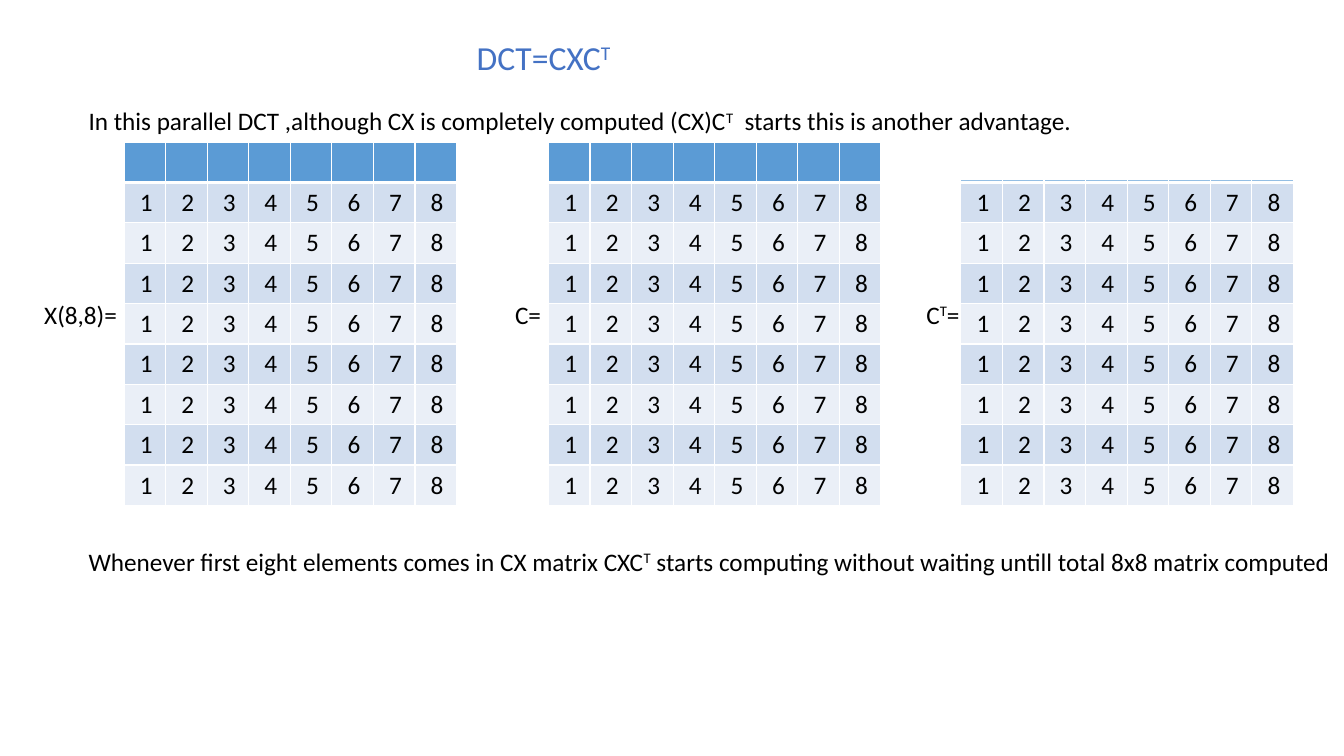
from lxml import etree
from pptx import Presentation, util as u
from pptx.dml.color import RGBColor
from pptx.enum import shapes, text
from pptx.oxml import ns

PX = 9144  # EMU per px, 100 px to the inch
COLORS = {
    "ink": "000000",
    "paper": "FFFFFF",
    "header": "5B9BD5",
    "band_dark": "D2DEEF",
    "band_light": "EAEFF7",
    "border": "FFFFFF",
    "title_top": "203864",
    "title_middle": "4472C4",
    "title_bottom": "8FAADC",
}
TITLE_STOPS = ((0, "title_top"), (50, "title_middle"), (100, "title_bottom"))
SIZE = 8
ROWS = SIZE + 1
ROW_HEIGHT = 40
MATRIX_WIDTH = 330
MATRIX_TOP = 141
SUPER = "^T"  # marks a raised T in a list of runs


def px(*lengths):
    return [u.Emu(length * PX) for length in lengths]


class SlideBuilder:
    font = "Calibri"
    body_size = 18

    def __init__(self, deck):
        self.page = deck.slides.add_slide(deck.slide_layouts[6])

    def span(self, para, words, size=body_size, gradient=None):
        span = para.add_run()
        span.text = "T" if words == SUPER else words
        span.font.name = self.font
        span.font.size = u.Pt(size)
        props = span._r.get_or_add_rPr()
        if words == SUPER:
            props.set("baseline", "30000")
        if gradient:
            self.gradient_fill(props, gradient)
        else:
            span.font.color.rgb = RGBColor.from_string(COLORS["ink"])

    def gradient_fill(self, props, stops):
        fill = etree.Element(ns.qn("a:gradFill"))
        stop_list = etree.SubElement(fill, ns.qn("a:gsLst"))
        for percent, color in stops:
            stop = etree.SubElement(stop_list, ns.qn("a:gs"), pos=str(percent * 1000))
            etree.SubElement(stop, ns.qn("a:srgbClr"), val=COLORS[color])
        etree.SubElement(fill, ns.qn("a:lin"), ang="5400000", scaled="0")
        props.insert(0, fill)

    def label(self, left, top, width, height, runs, **style):
        box = self.page.shapes.add_textbox(*px(left, top, width, height))
        box.text_frame.word_wrap = True
        box.text_frame.auto_size = text.MSO_AUTO_SIZE.SHAPE_TO_FIT_TEXT
        para = box.text_frame.paragraphs[0]
        for words in runs:
            self.span(para, words, **style)

    def panel(self, left, top, width, height, color):
        box = self.page.shapes.add_shape(
            shapes.MSO_SHAPE.RECTANGLE, *px(left, top, width, height))
        box.shadow.inherit = False
        box.fill.solid()
        box.fill.fore_color.rgb = RGBColor.from_string(COLORS[color])
        box.line.fill.background()

    def cell_borders(self, cell, bottom):
        props = cell._tc.get_or_add_tcPr()
        widths = (("a:lnL", 1), ("a:lnR", 1), ("a:lnT", 1), ("a:lnB", bottom))
        for place, (side, width) in enumerate(widths):
            line = etree.Element(ns.qn(side), w=str(u.Pt(width)))
            fill = etree.SubElement(line, ns.qn("a:solidFill"))
            etree.SubElement(fill, ns.qn("a:srgbClr"), val=COLORS["border"])
            props.insert(place, line)

    def matrix(self, left):
        frame = self.page.shapes.add_table(
            ROWS, SIZE, *px(left, MATRIX_TOP, MATRIX_WIDTH, ROWS * ROW_HEIGHT))
        for row in range(ROWS):
            is_header = row == 0
            band = "band_dark" if row % 2 else "band_light"
            for column in range(SIZE):
                cell = frame.table.cell(row, column)
                cell.fill.solid()
                cell.fill.fore_color.rgb = RGBColor.from_string(
                    COLORS["header" if is_header else band])
                self.cell_borders(cell, bottom=3 if is_header else 1)
                if not is_header:
                    self.span(cell.text_frame.paragraphs[0], f" {column + 1}")


def main():
    deck = Presentation()
    deck.slide_width = u.Inches(13.33)
    deck.slide_height = u.Inches(7.5)
    slide = SlideBuilder(deck)

    # Title and introduction
    slide.label(463, 32, 1116, 50, ["DCT=CXC", SUPER], size=24, gradient=TITLE_STOPS)
    slide.label(78, 100, 1102, 40, [
        "In this parallel DCT ,although CX is completely computed (CX)C", SUPER,
        "  starts this is another advantage."])

    # Input and coefficient matrices with their names
    slide.matrix(123)
    slide.matrix(544)
    slide.label(501, 292, 57, 40, ["C="])
    slide.label(34, 292, 132, 40, ["X(8,8)="])

    # Conclusion
    slide.label(78, 537, 1531, 40, [
        "Whenever first eight elements comes in CX matrix CXC", SUPER,
        " starts computing without waiting untill total 8x8 matrix computed"])

    # Transposed matrix, its header row covered by a white panel
    slide.matrix(953)
    slide.label(909, 292, 57, 40, ["C", SUPER, "="])
    slide.panel(917, MATRIX_TOP, 377, 38, "paper")

    deck.save("out.pptx")


if __name__ == "__main__":
    main()
